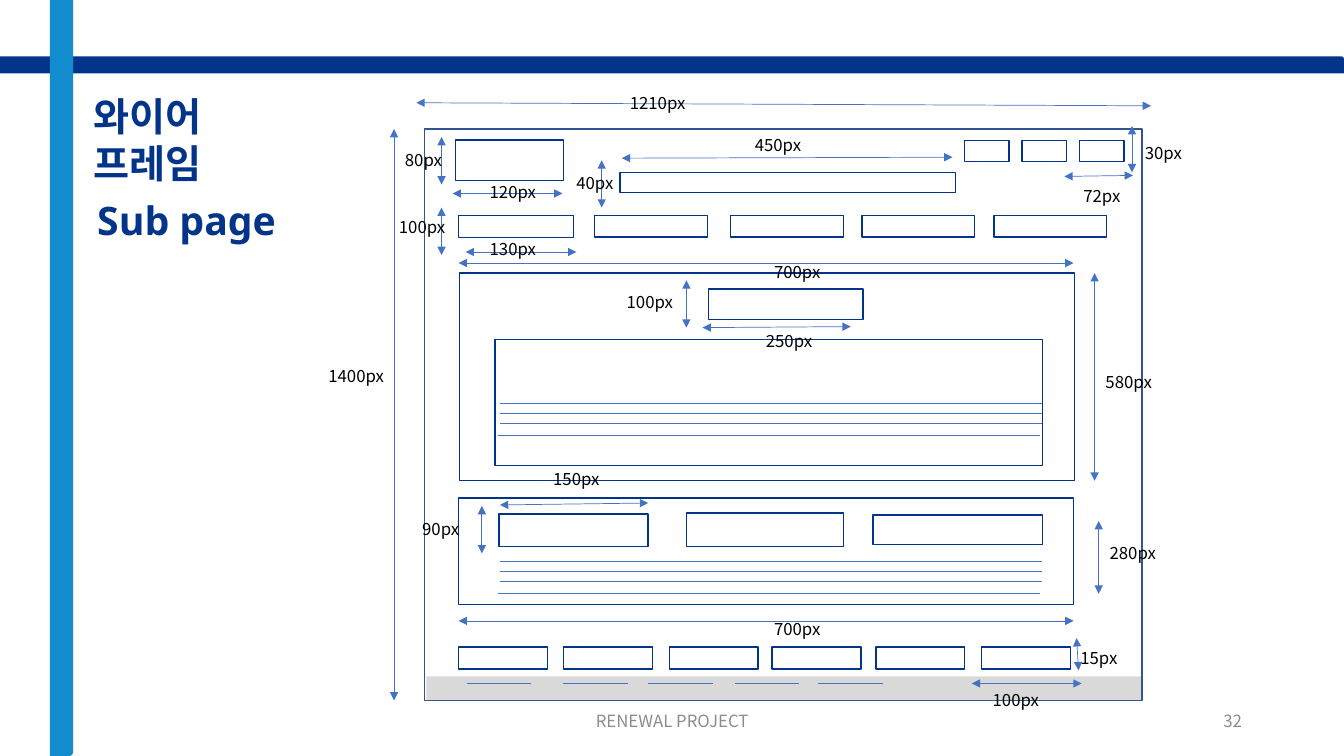
from dataclasses import dataclass

from lxml import etree
from pptx import Presentation
from pptx.dml.color import RGBColor
from pptx.enum import shapes, text
from pptx.oxml.ns import qn
from pptx.util import Pt

NAVY, SKY, BLUE, GREY = "023489", "128CCF", "4472C4", "D9D9D9"
LABEL_FONT, TITLE_FONT = "Noto Sans CJK KR", "Noto Sans"


@dataclass
class Box:
    left: float
    top: float
    width: float
    height: float
    line: str = NAVY


@dataclass
class Row:
    """Boxes of one size on one level."""
    lefts: tuple[float, ...]
    top: float
    width: float
    height: float


@dataclass
class Dimension:
    label: str
    left: float
    top: float
    start: tuple[float, float]
    end: tuple[float, float]


BOXES = [
    Box(303.1, 92.2, 512.6, 408.2, "325491"),
    Box(325.4, 100.1, 77, 28.8),
    Box(442.8, 123.1, 239.8, 14.4),
    Box(327.6, 154.1, 82.1, 15.8),
    Box(328.3, 195.1, 439.2, 148.3),
    Box(327.6, 355.7, 439.2, 76.3),
    Box(506.2, 206.6, 110.2, 21.6),
    Box(353.5, 242.6, 391, 90),
    Box(356.4, 367.2, 106.6, 23),
    Box(490.3, 366.5, 112.3, 23.8),
    Box(623.5, 367.9, 121, 20.9),
]
ROWS = [
    Row((689, 730.1, 771.1), 100.4, 31.7, 15.1),
    Row((424.8, 522, 615.6, 709.9), 154.1, 80.6, 15.1),
    Row((327.6, 402.5, 478.1, 551.5, 625.7, 701.3), 462.2, 63.4, 15.8),
]
TEXT_BLOCK_TOPS = (288, 401)
TEXT_LINE_OFFSETS = ((357.1, 0), (357.1, 7.3), (357.1, 14.6), (355.7, 23))
TEXT_LINE_WIDTH = 387.4
FOOTER_DASH_LEFTS = (333.4, 402.5, 463, 524.9, 584.6)
FOOTER_DASH_TOP, FOOTER_DASH_WIDTH = 488.2, 46.1

DIMENSIONS = [
    Dimension("1400px", 227.5, 257.8, (281.5, 92.2), (281.5, 500.4)),
    Dimension("1210px", 442.8, 62.6, (822.2, 75.6), (297.4, 73.4)),
    Dimension("450px", 532.1, 92.9, (680.4, 112.3), (444.2, 113)),
    Dimension("40px", 404.6, 120.2, (429.8, 114.5), (429.8, 148.3)),
    Dimension("80px", 282.2, 103.7, (315.4, 97.9), (315.4, 131.8)),
    Dimension("120px", 342.7, 126, (323.3, 138.2), (401.8, 138.2)),
    Dimension("130px", 342.7, 167, (332.6, 180), (411.8, 180)),
    Dimension("100px", 277.9, 151.2, (315.4, 148.3), (315.4, 182.2)),
    Dimension("30px", 810.7, 98.6, (808.6, 90), (808.6, 123.1)),
    Dimension("72px", 766.8, 128.9, (809.3, 125.3), (760.3, 126)),
    Dimension("700px", 545.8, 438.5, (766.8, 443.5), (327.6, 443.5)),
    Dimension("280px", 785.5, 384.5, (784.8, 372.2), (784.8, 424.1)),
    Dimension("15px", 764.6, 459.4, (769, 455.8), (770.4, 478.8)),
    Dimension("100px", 702, 488.9, (694.1, 488.2), (772.6, 488.2)),
    Dimension("150px", 388.1, 331.2, (357.1, 360.7), (463, 359.3)),
    Dimension("90px", 294.5, 367.2, (344.2, 361.4), (344.2, 395.3)),
    Dimension("700px", 545.8, 183.6, (766.8, 187.9), (327.6, 187.9)),
    Dimension("580px", 782.6, 262.1, (781.9, 195.1), (781.9, 343.4)),
    Dimension("100px", 440.6, 205.2, (490.3, 200.2), (490.3, 234)),
    Dimension("250px", 540, 232.6, (501.8, 234), (607.7, 233.3)),
]


def rgb(value: str) -> RGBColor:
    return RGBColor.from_string(value)


def add_filled(s, kind, left: float, top: float, width: float, height: float, color: str):
    sp = s.shapes.add_shape(kind, Pt(left), Pt(top), Pt(width), Pt(height))
    sp.shadow.inherit = False
    sp.fill.solid()
    sp.fill.fore_color.rgb = rgb(color)
    sp.line.fill.background()
    return sp


def add_box(s, box: Box) -> None:
    sp = s.shapes.add_shape(shapes.MSO_SHAPE.RECTANGLE, Pt(box.left), Pt(box.top),
                            Pt(box.width), Pt(box.height))
    sp.shadow.inherit = False
    sp.fill.background()
    sp.line.color.rgb = rgb(box.line)
    sp.line.width = Pt(1)


def add_line(s, start: tuple[float, float], end: tuple[float, float], arrows: bool = False) -> None:
    sp = s.shapes.add_connector(shapes.MSO_CONNECTOR.STRAIGHT, Pt(start[0]), Pt(start[1]),
                                Pt(end[0]), Pt(end[1]))
    sp.line.color.rgb = rgb(BLUE)
    sp.line.width = Pt(0.5)
    props = sp._element.spPr
    if arrows:
        for tag in ("a:headEnd", "a:tailEnd"):
            etree.SubElement(props.find(qn("a:ln")), qn(tag), type="triangle")
    etree.SubElement(props, qn("a:effectLst"))


def add_text(s, words: str, left: float, top: float, width: float, height: float,
             size: float = 12, font: str = LABEL_FONT, color: str = "000000",
             bold: bool = False, align=text.PP_ALIGN.LEFT, anchor=text.MSO_ANCHOR.TOP) -> None:
    tf = s.shapes.add_textbox(Pt(left), Pt(top), Pt(width), Pt(height)).text_frame
    tf.word_wrap = True
    tf.vertical_anchor = anchor
    tf.text = words
    p = tf.paragraphs[0]
    p.alignment = align
    r = p.runs[0]
    r.font.size, r.font.name, r.font.bold = Pt(size), font, bold
    r.font.color.rgb = rgb(color)
    etree.SubElement(r._r.get_or_add_rPr(), qn("a:ea"), typeface=font)


def add_dimension(s, d: Dimension) -> None:
    add_line(s, d.start, d.end, arrows=True)
    add_text(s, d.label, d.left, d.top, 54.7, 21.6)


def main() -> None:
    prs = Presentation()
    prs.slide_width, prs.slide_height = Pt(960), Pt(540)
    s = prs.slides.add_slide(prs.slide_layouts[6])

    bar = shapes.MSO_SHAPE.ROUND_1_RECTANGLE
    add_filled(s, bar, 0, 40.3, 960, 12.2, NAVY)
    add_filled(s, bar, -226.1, 261.7, 540, 16.6, SKY).rotation = 90
    add_filled(s, shapes.MSO_SHAPE.RECTANGLE, 304.6, 483.1, 511.9, 17.3, GREY)

    for words, left, width, align in (
        ("RENEWAL PROJECT", 318.2, 324, text.PP_ALIGN.CENTER),
        ("32", 678.2, 216, text.PP_ALIGN.RIGHT),
    ):
        add_text(s, words, left, 500.4, width, 28.8, color="8C8C8C", align=align,
                 anchor=text.MSO_ANCHOR.MIDDLE)
    for words, left, top, width, height in (
        ("와이어 프레임", 42.5, 62.6, 126, 74.9),
        ("Sub page", 41.8, 136.8, 182.9, 41),
    ):
        add_text(s, words, left, top, width, height, 28, TITLE_FONT, NAVY, True,
                 text.PP_ALIGN.CENTER)

    for box in BOXES:
        add_box(s, box)
    for row in ROWS:
        for left in row.lefts:
            add_box(s, Box(left, row.top, row.width, row.height))

    for block_top in TEXT_BLOCK_TOPS:
        for left, offset in TEXT_LINE_OFFSETS:
            y = block_top + offset
            add_line(s, (left, y), (left + TEXT_LINE_WIDTH, y))
    for left in FOOTER_DASH_LEFTS:
        add_line(s, (left, FOOTER_DASH_TOP), (left + FOOTER_DASH_WIDTH, FOOTER_DASH_TOP))

    for d in DIMENSIONS:
        add_dimension(s, d)
    prs.save("out.pptx")


if __name__ == "__main__":
    main()
